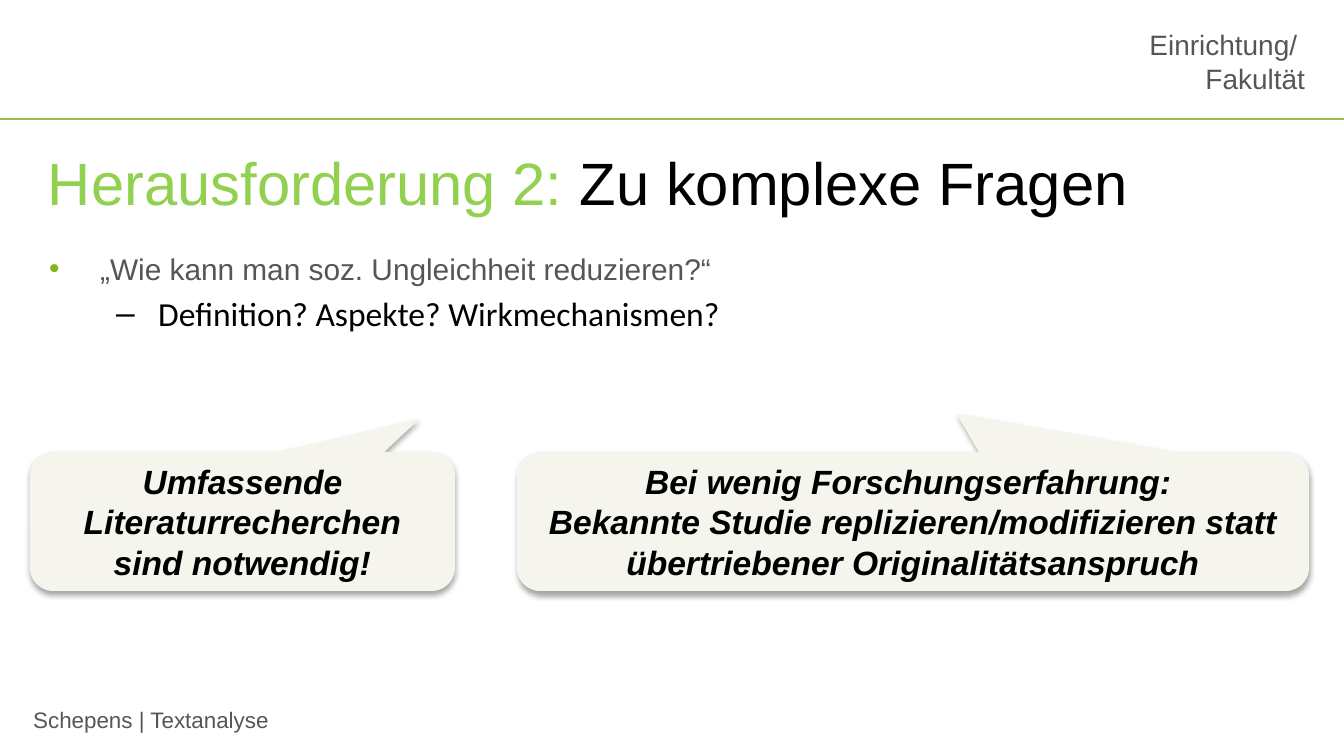
from lxml.etree import SubElement
from pptx import Presentation
from pptx.dml.color import RGBColor
from pptx.enum.shapes import MSO_CONNECTOR, MSO_SHAPE
from pptx.enum.text import MSO_ANCHOR, PP_ALIGN
from pptx.oxml.ns import qn
from pptx.util import Pt

PX = 9144000 / 1344
GREEN_LINE = RGBColor(0x98, 0xB9, 0x55)
GREEN_TITLE = RGBColor(0x92, 0xD0, 0x50)
GREY = RGBColor(0x56, 0x56, 0x56)
BLACK = RGBColor(0, 0, 0)
CREAM = RGBColor(0xF5, 0xF4, 0xED)


def px(*lengths):
    return [round(length * PX) for length in lengths]


def style(paragraph, size, color, name="Arial"):
    font = paragraph.font
    font.name = name
    font.size = Pt(size)
    font.color.rgb = color


presentation = Presentation()
presentation.slide_width, presentation.slide_height = px(1344, 756)
slide = presentation.slides.add_slide(presentation.slide_layouts[6])
shapes = slide.shapes

header_line = shapes.add_connector(MSO_CONNECTOR.STRAIGHT, *px(0, 119, 1344, 119))
header_line.line.color.rgb = GREEN_LINE
header_line.line.width = Pt(0.75)
SubElement(header_line._element.spPr, qn("a:effectLst"))

footer = shapes.add_textbox(*px(20, 700, 449, 38)).text_frame
footer.word_wrap = True
footer.text = "Schepens | Textanalyse"
style(footer.paragraphs[0], 12, GREY)

faculty = shapes.add_textbox(*px(723, 27, 582, 68)).text_frame
faculty.word_wrap = True
faculty.vertical_anchor = MSO_ANCHOR.BOTTOM
faculty.margin_left = faculty.margin_top = faculty.margin_right = faculty.margin_bottom = 0
faculty.text = "Einrichtung/ \nFakultät"
for paragraph in faculty.paragraphs:
    paragraph.alignment = PP_ALIGN.RIGHT
    style(paragraph, 15, GREY)

title = shapes.add_textbox(*px(38, 134, 1270, 74)).text_frame
title.word_wrap = True
title.margin_left, title.margin_top = px(10, 12)
paragraph = title.paragraphs[0]
style(paragraph, 32, BLACK)
for text, color in [("Herausforderung 2:", GREEN_TITLE), (" Zu komplexe Fragen", BLACK)]:
    run = paragraph.add_run()
    run.text = text
    run.font.color.rgb = color

body = shapes.add_textbox(*px(36, 219, 1270, 476)).text_frame
body.word_wrap = True
body.text = "„Wie kann man soz. Ungleichheit reduzieren?“\nDefinition? Aspekte? Wirkmechanismen?"
question, aspects = body.paragraphs
style(question, 16, GREY)
style(aspects, 18, BLACK, "Calibri")
question.line_spacing = 1.7
question.space_before = Pt(3.2)
aspects.space_before = Pt(3.6)
aspects.level = 1
for paragraph, left, hanging, bullet, color in [
    (question, 51, 51, "•", "84B818"),
    (aspects, 109, 42, "–", "000000"),
]:
    properties = paragraph._p.get_or_add_pPr()
    margin, indent = px(left, -hanging)
    properties.set("marL", str(margin))
    properties.set("indent", str(indent))
    bullet_color = SubElement(properties, qn("a:buClr"))
    SubElement(bullet_color, qn("a:srgbClr"), val=color)
    SubElement(properties, qn("a:buFont"), typeface="Arial")
    SubElement(properties, qn("a:buChar"), char=bullet)
    default_font = properties.find(qn("a:defRPr"))
    properties.append(default_font)

for left, width, tip_x, tip_y, text in [
    (30, 425, 0.417, -0.739, "Umfassende Literaturrecherchen sind notwendig!"),
    (517, 792, 0.055, -0.775,
     "Bei wenig Forschungserfahrung: \vBekannte Studie replizieren/modifizieren "
     "statt übertriebener Originalitätsanspruch"),
]:
    callout = shapes.add_shape(MSO_SHAPE.ROUNDED_RECTANGULAR_CALLOUT, *px(left, 452, width, 139))
    callout.adjustments[0] = tip_x
    callout.adjustments[1] = tip_y
    callout.adjustments[2] = 0.167
    callout.fill.solid()
    callout.fill.fore_color.rgb = CREAM
    callout.line.fill.background()
    callout.shadow.inherit = False
    effects = callout._element.spPr.find(qn("a:effectLst"))
    shadow = SubElement(effects, qn("a:outerShdw"), blurRad=str(Pt(3.1)),
                        dist=str(Pt(1.8)), dir="5400000", rotWithShape="0")
    shadow_color = SubElement(shadow, qn("a:srgbClr"), val="000000")
    SubElement(shadow_color, qn("a:alpha"), val="35000")
    frame = callout.text_frame
    frame.word_wrap = True
    frame.vertical_anchor = MSO_ANCHOR.MIDDLE
    paragraph = frame.paragraphs[0]
    paragraph.text = text
    paragraph.alignment = PP_ALIGN.CENTER
    style(paragraph, 18, BLACK)
    paragraph.font.bold = True
    paragraph.font.italic = True

presentation.save("out.pptx")
